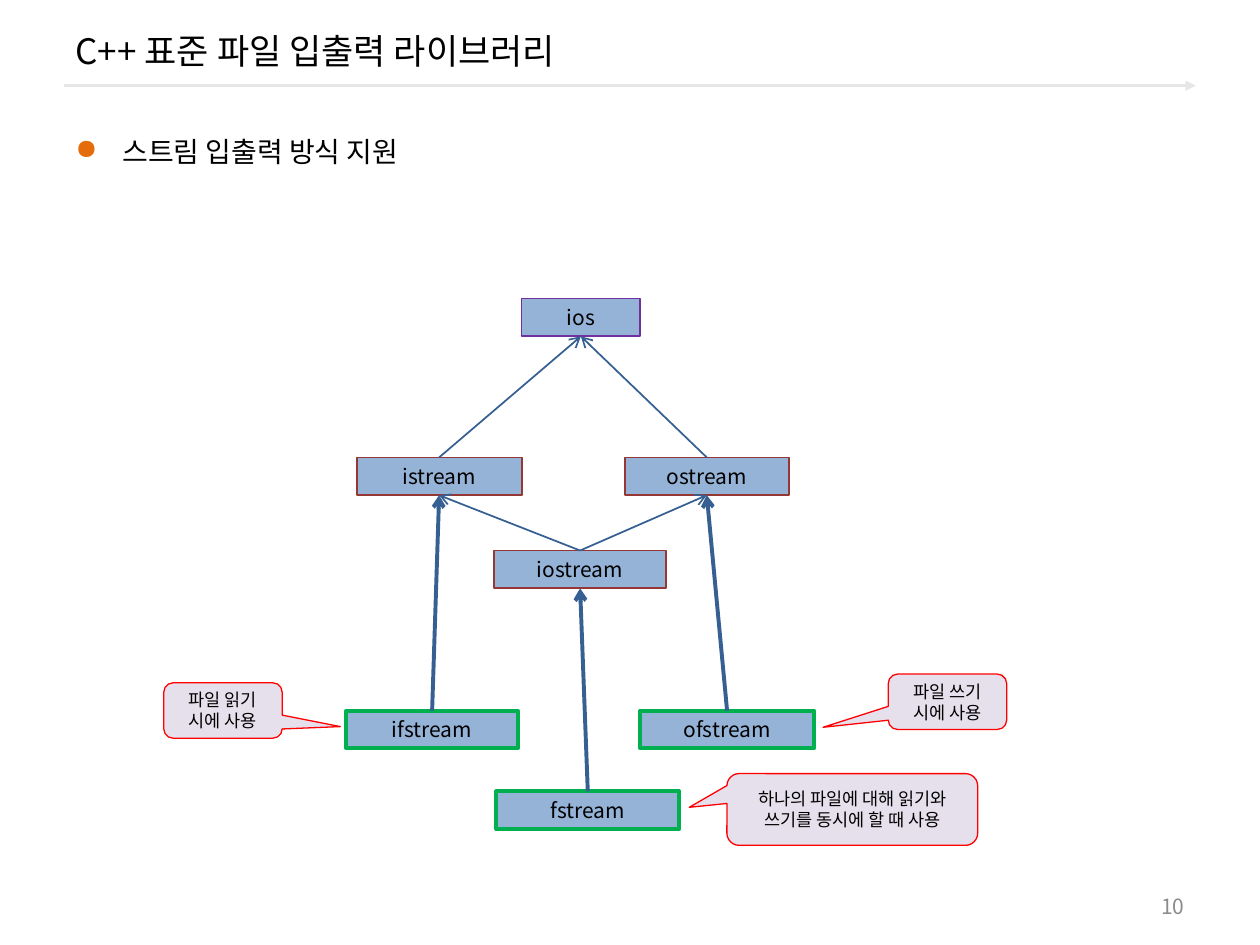
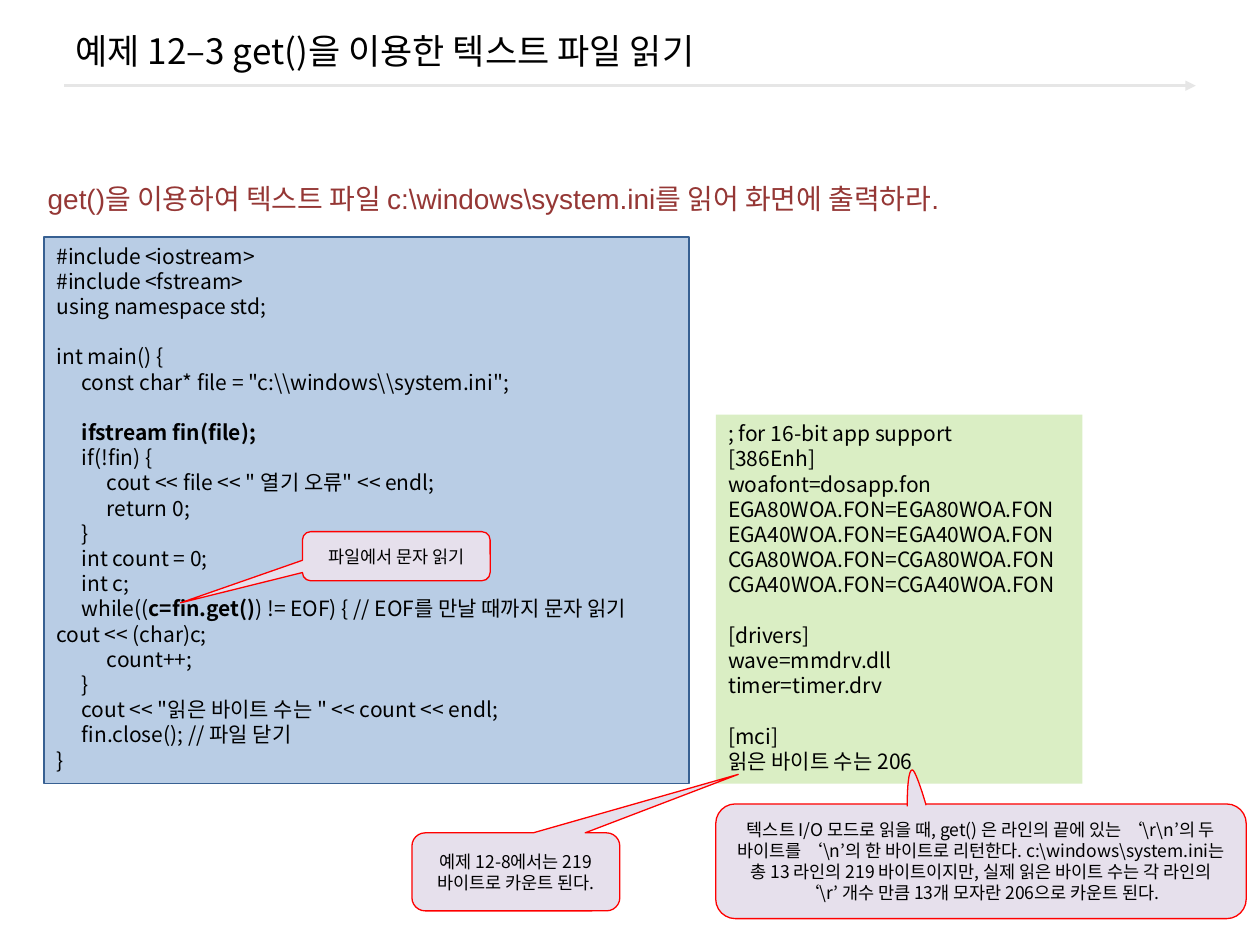
import pptx
import pptx.dml.color
import pptx.enum.shapes
import pptx.enum.text
import pptx.oxml.ns
import pptx.util
from lxml import etree

Pt = pptx.util.Pt
SHAPES = pptx.enum.shapes.MSO_SHAPE
ALIGN = pptx.enum.text.PP_ALIGN
ANCHOR = pptx.enum.text.MSO_ANCHOR
qn = pptx.oxml.ns.qn

COLORS = {
    "text": "000000", "rule": "E6E6E6", "number": "8C8C8C", "bullet": "E46C0A",
    "class": "95B3D7", "arrow": "376092", "root": "7030A0", "stream": "953735",
    "file": "00B050", "note": "E6E0EC", "note_line": "FF0000",
    "code": "B9CDE5", "output": "DAEEC4",
}
KOREAN, LATIN = "Noto Sans CJK KR", "Arial"
TAB = 14.4

# Slide 1: class tree, as name: (left, top, width, line colour, line width)
TREE_TITLE = "C++ 표준 파일 입출력 라이브러리"
TREE_POINT = "스트림 입출력 방식 지원"
CLASS_HEIGHT = 21.6
CLASSES = {
    "ios": (298.1, 170.6, 67.7, "root", 1),
    "istream": (203.8, 261.4, 94.3, "stream", 1),
    "ostream": (357.1, 261.4, 93.6, "stream", 1),
    "iostream": (282.2, 314.6, 98.6, "stream", 1),
    "ifstream": (198, 406.1, 97.9, "file", 2.25),
    "ofstream": (365.8, 406.1, 99.4, "file", 2.25),
    "fstream": (283.7, 452.2, 104.4, "file", 2.25),
}
PARENTS = [
    ("istream", "ios"), ("ostream", "ios"), ("iostream", "istream"),
    ("iostream", "ostream"), ("ifstream", "istream"),
    ("ofstream", "ostream"), ("fstream", "iostream"),
]
# Callouts: (text, place, pointer tip)
TREE_NOTES = [
    ("파일 읽기 시에 사용", (93.6, 390.2, 67.7, 31.7), (0.99, 0.29)),
    ("파일 쓰기 시에 사용", (507.6, 385.2, 67.7, 31.7), (-1.05, 0.46)),
    ("하나의 파일에 대해 읽기와 쓰기를 동시에 할 때 사용",
     (415.4, 442.1, 143.3, 41), (-0.65, -0.03)),
]

# Slide 2: code (bold between double asterisks) and its output
CODE_TITLE = "예제 12–3 get()을 이용한 텍스트 파일 읽기"
TASK = r"get()을 이용하여 텍스트 파일 c:\windows\system.ini를 읽어 화면에 출력하라."
CODE = [
    "#include <iostream>",
    "#include <fstream>",
    "using namespace std;",
    "",
    "int main() {",
    "\tconst char* file = \"c:\\\\windows\\\\system.ini\";",
    "",
    "\t**ifstream fin(file);**",
    "\tif(!fin) {",
    "\t\tcout << file << \" 열기 오류\" << endl;",
    "\t\treturn 0;",
    "\t}",
    "\tint count = 0;",
    "\tint c;",
    "\twhile((**c=fin.get()**) != EOF) { // EOF를 만날 때까지 문자 읽기",
    "cout << (char)c;",
    "\t\tcount++;",
    "\t}",
    "\tcout << \"읽은 바이트 수는 \" << count << endl;",
    "\tfin.close(); // 파일 닫기",
    "}",
]
OUTPUT = [
    "; for 16-bit app support", "[386Enh]", "woafont=dosapp.fon",
    "EGA80WOA.FON=EGA80WOA.FON", "EGA40WOA.FON=EGA40WOA.FON",
    "CGA80WOA.FON=CGA80WOA.FON", "CGA40WOA.FON=CGA40WOA.FON", "",
    "[drivers]", "wave=mmdrv.dll", "timer=timer.drv", "",
    "[mci]", "읽은 바이트 수는 206",
]
CODE_NOTES = [
    ("파일에서 문자 읽기", (172.8, 303.8, 107.3, 28.1), (-1.15, 0.95)),
    (r"텍스트 I/O 모드로 읽을 때, get() 은 라인의 끝에 있는 ‘\r\n’의 두 바이트를 "
     r"‘\n’의 한 바이트로 리턴한다. c:\windows\system.ini는 총 13 라인의 219 바이트이지만, "
     r"실제 읽은 바이트 수는 각 라인의 ‘\r’ 개수 만큼 13개 모자란 206으로 카운트 된다.",
     (409, 459.4, 303.1, 65.5), (-0.12, -0.5)),
    ("예제 12-8에서는 219 바이트로 카운트 된다.", (235.4, 475.9, 118.8, 44.6), (1.07, -1.25)),
]
# Pointer of the long callout: two Bezier curves
POINTER = [
    [(518.4, 460.8), (518.4, 450.7), (519.1, 439.9), (521.3, 439.9)],
    [(521.3, 439.9), (522.7, 439.9), (526.3, 450), (529.2, 460.1)],
]


def rgb(name):
    return pptx.dml.color.RGBColor.from_string(COLORS[name])


def points(*lengths):
    return [Pt(length) for length in lengths]


def write(shape, lines, size, color="text", font=KOREAN, align=ALIGN.LEFT,
          anchor=ANCHOR.TOP, wrap=True):
    """Fill a shape with one paragraph per line."""
    frame = shape.text_frame
    frame.word_wrap = wrap
    frame.vertical_anchor = anchor
    for index, line in enumerate(lines):
        para = frame.add_paragraph() if index else frame.paragraphs[0]
        para.alignment = align
        if font == KOREAN:
            para.line_spacing = Pt(1.2 * size)
        if "\t" in line:
            stops = etree.SubElement(para._p.get_or_add_pPr(), qn("a:tabLst"))
            for step in (1, 2):
                etree.SubElement(stops, qn("a:tab"), pos=str(Pt(step * TAB)), algn="l")
        if not line:
            etree.SubElement(para._p, qn("a:endParaRPr"), sz=str(size * 100))
        for part, text in enumerate(line.split("**")):
            if text:
                span = para.add_run()
                span.text = text
                span.font.name = font
                span.font.size = Pt(size)
                span.font.bold = part % 2 == 1
                span.font.color.rgb = rgb(color)
                etree.SubElement(span._r.get_or_add_rPr(), qn("a:ea"), typeface=KOREAN)
    return shape


def paint(shape, fill, line=None, width=0.75):
    shape.shadow.inherit = False
    shape.fill.solid()
    shape.fill.fore_color.rgb = rgb(fill)
    if line:
        shape.line.color.rgb = rgb(line)
        shape.line.width = Pt(width)
    else:
        shape.line.fill.background()
    return shape


def add_box(page, place, fill, line=None, width=0.75, kind=SHAPES.RECTANGLE):
    return paint(page.shapes.add_shape(kind, *points(*place)), fill, line, width)


def add_arrow(page, ends, color, width, head):
    arrow = page.shapes.add_connector(pptx.enum.shapes.MSO_CONNECTOR.STRAIGHT, *points(*ends))
    arrow.line.color.rgb = rgb(color)
    arrow.line.width = Pt(width)
    etree.SubElement(arrow.line._get_or_add_ln(), qn("a:tailEnd"), type=head)
    etree.SubElement(arrow._element.spPr, qn("a:effectLst"))
    return arrow


def add_notes(page, notes):
    for text, place, tip in notes:
        note = add_box(page, place, "note", "note_line", kind=SHAPES.ROUNDED_RECTANGULAR_CALLOUT)
        for index, value in enumerate((*tip, 0.17)):
            note.adjustments[index] = value
        write(note, [text], 10, align=ALIGN.CENTER, anchor=ANCHOR.MIDDLE)


def add_page(deck, title, number):
    """Start a slide with its title, rule and page number."""
    page = deck.slides.add_slide(deck.slide_layouts[5])
    add_arrow(page, (36.7, 49, 683.3, 49), "rule", 1.5, "triangle")
    heading = page.shapes.title
    heading.left, heading.top, heading.width, heading.height = points(36, 5.8, 648, 46.1)
    write(heading, [title], 20, anchor=ANCHOR.MIDDLE)
    footer = page.shapes.add_textbox(*points(516.2, 506.2, 167.8, 23))
    write(footer, [str(number)], 12, "number", align=ALIGN.RIGHT, anchor=ANCHOR.MIDDLE)
    return page


def build_tree(deck):
    page = add_page(deck, TREE_TITLE, 10)

    # Bullet point
    body = page.shapes.add_textbox(*points(36, 73.4, 648, 433.4))
    write(body, [TREE_POINT], 16, font=LATIN)
    layout = body.text_frame.paragraphs[0]._p.get_or_add_pPr()
    layout.set("marL", str(Pt(27)))
    layout.set("indent", str(Pt(-27)))
    color = etree.SubElement(layout, qn("a:buClr"))
    etree.SubElement(color, qn("a:srgbClr"), val=COLORS["bullet"])
    etree.SubElement(layout, qn("a:buChar"), char="●")

    # Classes and inheritance arrows
    boxes = {}
    for name, (left, top, width, line, weight) in CLASSES.items():
        box = add_box(page, (left, top, width, CLASS_HEIGHT), "class", line, weight)
        boxes[name] = write(box, [name], 12, align=ALIGN.CENTER)
    for child, parent in PARENTS:
        arrow = add_arrow(page, (0, 0, 0, 0), "arrow", CLASSES[child][4], "arrow")
        arrow.begin_connect(boxes[child], 0)
        arrow.end_connect(boxes[parent], 2)
    add_notes(page, TREE_NOTES)


def bezier(curve, t):
    weights = ((1 - t) ** 3, 3 * t * (1 - t) ** 2, 3 * t * t * (1 - t), t ** 3)
    return tuple(Pt(sum(w * point[axis] for w, point in zip(weights, curve)))
                 for axis in (0, 1))


def build_code(deck):
    page = add_page(deck, CODE_TITLE, 20)
    write(add_box(page, (25.2, 135.4, 368.6, 312.5), "code", "arrow"), CODE, 12)
    write(add_box(page, (409, 236.9, 209.5, 211), "output"), OUTPUT, 12, wrap=False)
    add_notes(page, CODE_NOTES)
    task = page.shapes.add_textbox(*points(20.2, 100.1, 585.4, 26.6))
    write(task, [TASK], 16, "stream", LATIN, wrap=False)

    # Callout pointer
    outline = [bezier(curve, step / 8) for curve in POINTER for step in range(9)]
    builder = page.shapes.build_freeform(*outline[0])
    builder.add_line_segments(outline[1:], close=False)
    paint(builder.convert_to_shape(), "note", "note_line")


def main():
    deck = pptx.Presentation()
    deck.slide_width, deck.slide_height = points(720, 540)
    build_tree(deck)
    build_code(deck)
    deck.save("out.pptx")


if __name__ == "__main__":
    main()
